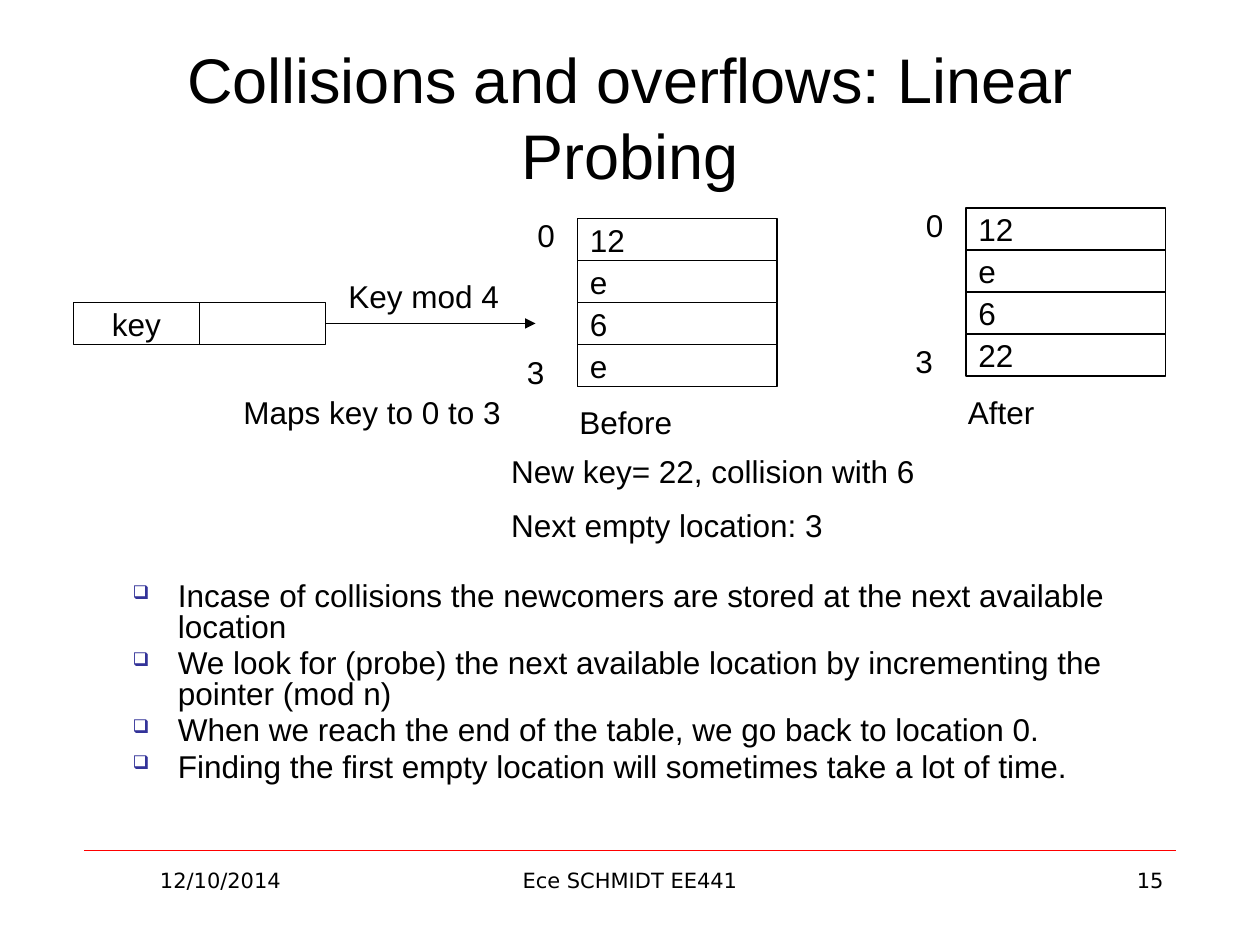
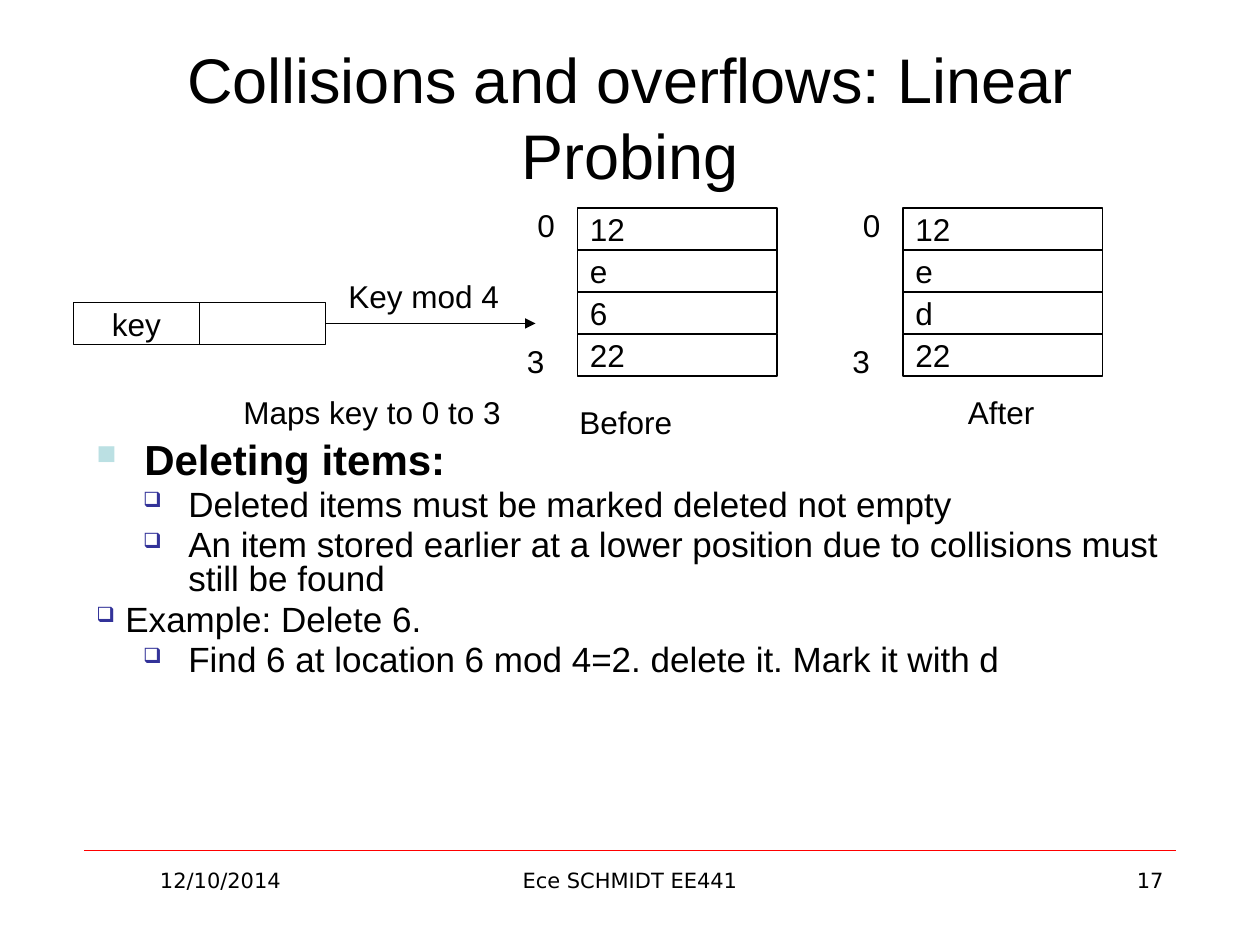
"""Build two slides on linear probing in a hash table."""
from lxml import etree
from pptx import Presentation, util as u
from pptx.dml import color
from pptx.enum import shapes, text
from pptx.oxml import ns

COLORS = {"ink": "000000", "rule": "FF0000", "square": "BBE0E3", "box": "333399"}
LEFT, CENTER, RIGHT = text.PP_ALIGN.LEFT, text.PP_ALIGN.CENTER, text.PP_ALIGN.RIGHT
TITLE = "Collisions and overflows: Linear Probing"
CELL_WIDTH, CELL_HEIGHT = 19, 4
BULLETS = {
    "heading": ("■", "square", 65, 0.38, -0.38, 0),
    "item": ("❑", "box", 60, 0.73, -0.36, 1),
    "example": ("❑", "box", 60, 0.23, -0.36, 0),
}
SLIDES = [
    {
        "number": "15",
        "tables": [(55, 20.8, ["12", "e", "6", "e"]), (92, 19.8, ["12", "e", "6", "22"])],
        "notes": ["New key= 22, collision with 6", "Next empty location: 3"],
        "body_box": (7, 55, 106, 21),
        "size": 18,
        "body": [
            ("item", "Incase of collisions the newcomers are stored at the next available location"),
            ("item", "We look for (probe) the next available location by incrementing the pointer (mod n)"),
            ("item", "When we reach the end of the table, we go back to location 0."),
            ("item", "Finding the first empty location will sometimes take a lot of time."),
        ],
    },
    {
        "number": "17",
        "tables": [(55, 19.8, ["12", "e", "6", "22"]), (86, 19.8, ["12", "e", "d", "22"])],
        "notes": [],
        "body_box": (8, 41.6, 106, 37.3),
        "size": 20,
        "body": [
            ("heading", "Deleting items:"),
            ("item", "Deleted items must be marked deleted not empty"),
            ("item", "An item stored earlier at a lower position due to collisions must still be found"),
            ("example", "Example: Delete 6."),
            ("item", "Find 6 at location 6 mod 4=2. delete it. Mark it with d"),
        ],
    },
]

presentation = Presentation()
presentation.slide_width, presentation.slide_height = u.Inches(10), u.Inches(7.5)
COLUMN, ROW = presentation.slide_width / 120, presentation.slide_height / 90


def add_text(slide, box, lines, size=18, font="Arial", align=LEFT, before=0, framed=False):
    """Add a text box, or a framed cell, placed in columns and rows."""
    place = [round(length * unit) for length, unit in zip(box, (COLUMN, ROW) * 2)]
    if framed:
        shape = slide.shapes.add_shape(shapes.MSO_SHAPE.RECTANGLE, *place)
        shape.shadow.inherit = False
        shape.fill.background()
        shape.line.color.rgb = color.RGBColor.from_string(COLORS["ink"])
        shape.line.width = u.Pt(0.75)
    else:
        shape = slide.shapes.add_textbox(*place)
    frame = shape.text_frame
    frame.word_wrap = True
    frame.vertical_anchor = text.MSO_ANCHOR.MIDDLE if framed else text.MSO_ANCHOR.TOP
    frame.text = "\n".join(lines)
    for paragraph in frame.paragraphs:
        paragraph.alignment = align
        if before:
            spacing = etree.SubElement(paragraph._p.get_or_add_pPr(), ns.qn("a:spcBef"))
            etree.SubElement(spacing, ns.qn("a:spcPct"), val=str(before * 1000))
        for run in paragraph.runs:
            run.font.size, run.font.name = u.Pt(size), font
            run.font.color.rgb = color.RGBColor.from_string(COLORS["ink"])
    return shape


def add_line(slide, start, end, row, name, width):
    """Add a horizontal line and return its line properties."""
    line = slide.shapes.add_connector(
        shapes.MSO_CONNECTOR.STRAIGHT,
        round(start * COLUMN), round(row * ROW), round(end * COLUMN), round(row * ROW))
    line.line.color.rgb = color.RGBColor.from_string(COLORS[name])
    line.line.width = u.Pt(width)
    etree.SubElement(line._element.spPr, ns.qn("a:effectLst"))
    return line.line._get_or_add_ln()


for content in SLIDES:
    slide = presentation.slides.add_slide(presentation.slide_layouts[6])

    add_line(slide, 8, 112, 81, "rule", 0.25)
    for left, width, label, align in [
        (8, 26, "12/10/2014", CENTER),
        (41, 38, "Ece SCHMIDT EE441", CENTER),
        (86, 26, content["number"], RIGHT),
    ]:
        add_text(slide, (left, 82, width, 6.2), [label], 12, "DejaVu Sans", align)
    title = add_text(slide, (6, 3.6, 108, 15), [TITLE], 36, align=CENTER)
    title.text_frame.vertical_anchor = text.MSO_ANCHOR.MIDDLE

    body = add_text(slide, content["body_box"], [line for kind, line in content["body"]],
                    content["size"], before=20)
    for paragraph, (kind, line) in zip(body.text_frame.paragraphs, content["body"]):
        mark, name, percent, margin, indent, level = BULLETS[kind]
        paragraph.line_spacing = 0.8
        paragraph.level = level
        properties = paragraph._p.get_or_add_pPr()
        properties.set("marL", str(u.Inches(margin)))
        properties.set("indent", str(u.Inches(indent)))
        bullet_color = etree.SubElement(properties, ns.qn("a:buClr"))
        etree.SubElement(bullet_color, ns.qn("a:srgbClr"), val=COLORS[name])
        etree.SubElement(properties, ns.qn("a:buSzPct"), val=str(percent * 1000))
        etree.SubElement(properties, ns.qn("a:buChar"), char=mark)
        if kind == "heading":
            paragraph.runs[0].font.size, paragraph.runs[0].font.bold = u.Pt(24), True

    for index, label in enumerate(["key", ""]):
        add_text(slide, (7 + 12 * index, 28.8, 12, CELL_HEIGHT), [label], align=CENTER, framed=True)
    arrow = add_line(slide, 31, 51, 30.8, "ink", 0.75)
    etree.SubElement(arrow, ns.qn("a:tailEnd"), type="triangle")

    for left, top, values in content["tables"]:
        for index, value in enumerate(values):
            add_text(slide, (left, top + CELL_HEIGHT * index, CELL_WIDTH, CELL_HEIGHT),
                     [value], framed=True)
        add_text(slide, (left - 5, top - 0.8, 7, 4.8), ["0"], before=50)
        add_text(slide, (left - 6, top + 12.2, 8, 4.8), ["3"], before=50)

    for left, top, width, label in [
        (32, 25.8, 19, "Key mod 4"),
        (22, 36.8, 33, "Maps key to 0 to 3"),
        (54, 37.8, 20, "Before"),
        (91, 36.8, 20, "After"),
    ]:
        add_text(slide, (left, top, width, 4.8), [label], before=50)
    if content["notes"]:
        add_text(slide, (47.5, 42.5, 44.5, 10.3), content["notes"], before=50)

presentation.save("out.pptx")
